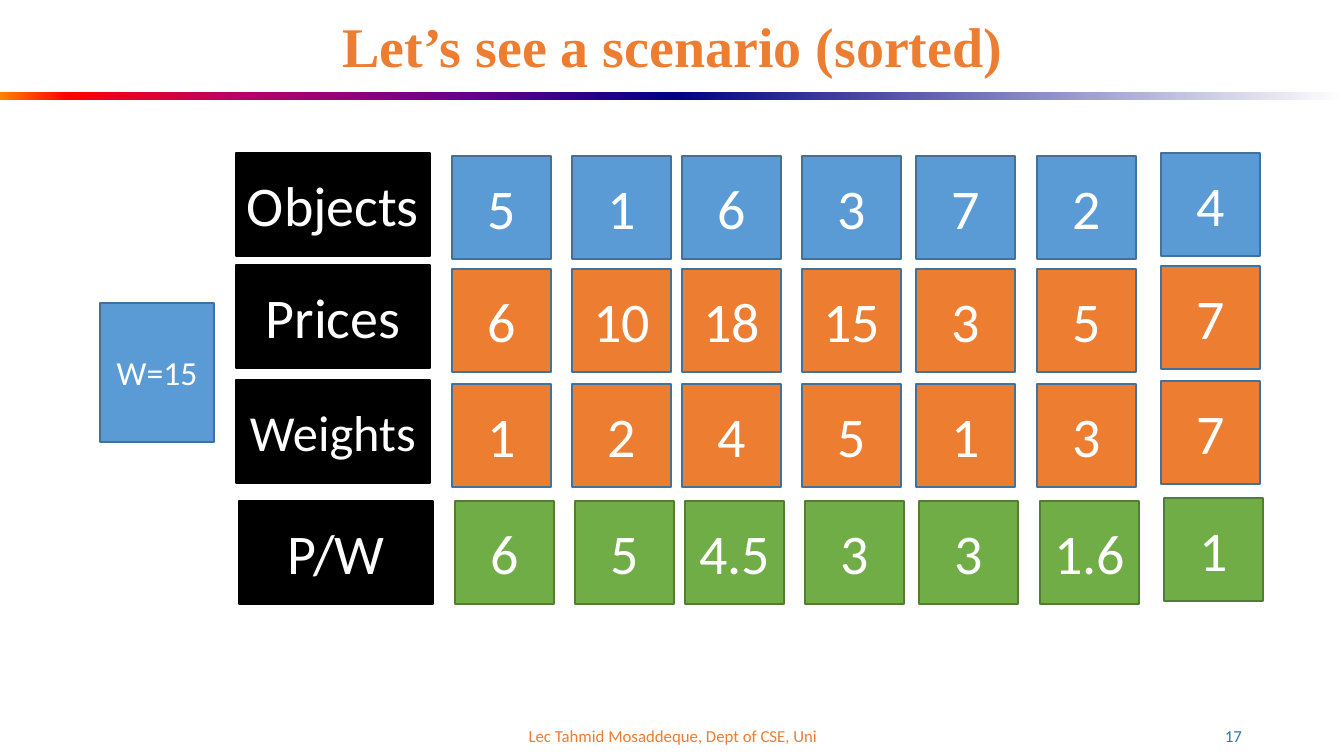
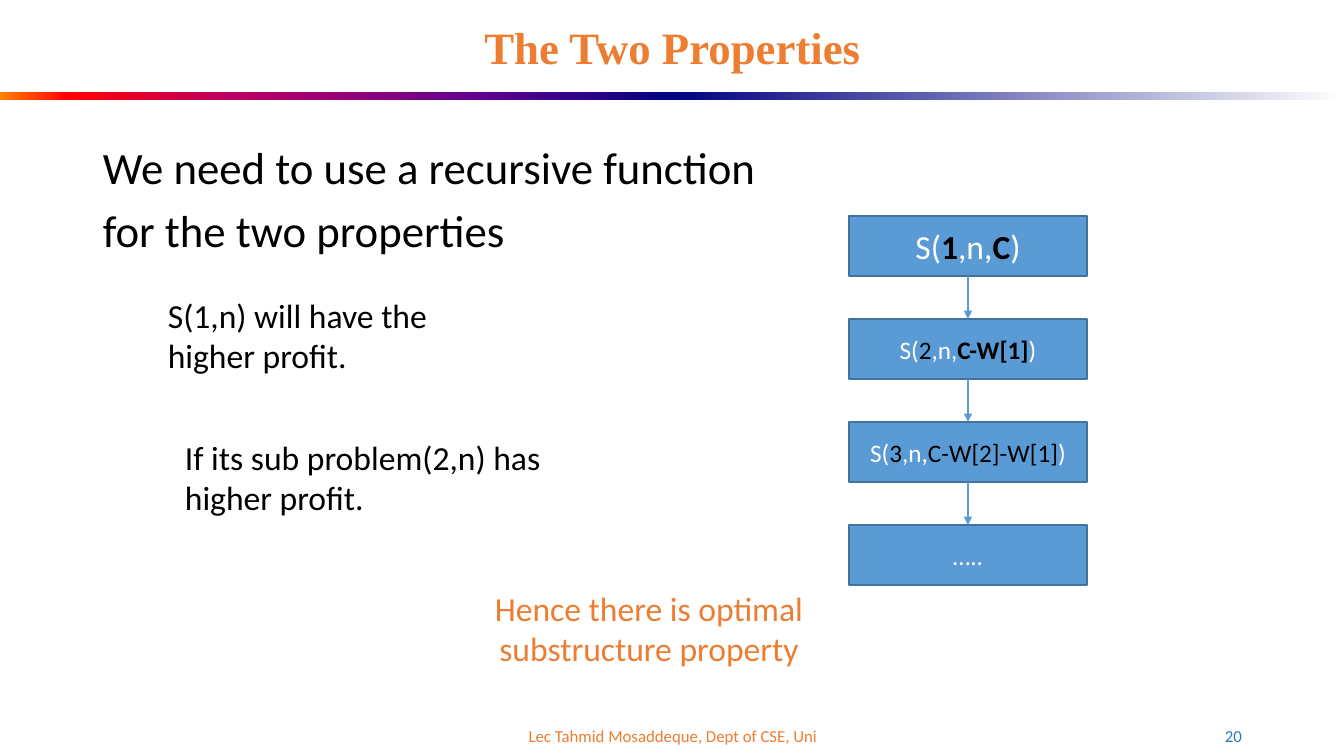
from lxml import etree
from pptx import Presentation
from pptx import util as u
from pptx.dml.color import RGBColor
from pptx.enum import shapes, text
from pptx.oxml.ns import qn

# Colours and fonts
WHITE = RGBColor(0xFF, 0xFF, 0xFF)
BLACK = RGBColor(0x00, 0x00, 0x00)
ORANGE = RGBColor(0xED, 0x7D, 0x31)
BLUE = RGBColor(0x5B, 0x9B, 0xD5)
DARK_BLUE = RGBColor(0x42, 0x71, 0x9B)
NUMBER_BLUE = RGBColor(0x2E, 0x75, 0xB5)
GREEN = RGBColor(0x70, 0xAD, 0x47)
DARK_GREEN = RGBColor(0x51, 0x7E, 0x33)
NAVY = RGBColor(0x00, 0x00, 0x82)
BAND_LEFT = [(0, RGBColor(0xFF, 0x82, 0x00)), (10, RGBColor(0xFF, 0x00, 0x00)),
             (35, RGBColor(0xBA, 0x00, 0x66)), (70, RGBColor(0x66, 0x00, 0x8F)),
             (100, NAVY)]
BAND_RIGHT = [(0, NAVY), (100, WHITE)]
BODY_FONT = "Calibri"
TITLE_FONT = "Times New Roman"

WIDTH, HEIGHT = 1344, 756
LEFT, CENTER, RIGHT = text.PP_ALIGN.LEFT, text.PP_ALIGN.CENTER, text.PP_ALIGN.RIGHT
TOP, MIDDLE = text.MSO_ANCHOR.TOP, text.MSO_ANCHOR.MIDDLE


def px(length):
    """Turn px (100.8 to the inch) into EMU."""
    return u.Emu(round(length * 914400 / 100.8))


def write(frame, *paragraphs, size=24, color=BLACK, font=BODY_FONT, bold=False,
          align=LEFT, anchor=TOP, line_spacing=None, gap=0):
    """Fill a frame; a paragraph is a string or a list of (text, color, bold) runs."""
    frame.word_wrap = True
    frame.auto_size = text.MSO_AUTO_SIZE.NONE
    frame.vertical_anchor = anchor
    for index, content in enumerate(paragraphs):
        paragraph = frame.add_paragraph() if index else frame.paragraphs[0]
        paragraph.alignment = align
        if line_spacing:
            paragraph.line_spacing = line_spacing
        if index and gap:
            paragraph.space_before = u.Pt(gap)
        runs = [(content, color, bold)] if isinstance(content, str) else content
        for words, run_color, run_bold in runs:
            run = paragraph.add_run()
            run.text = words
            run.font.size = u.Pt(size)
            run.font.name = font
            run.font.bold = run_bold
            run.font.color.rgb = run_color


class Deck:
    """Holds the shared style and the current slide."""

    def __init__(self):
        self.prs = Presentation()
        self.prs.slide_width, self.prs.slide_height = px(WIDTH), px(HEIGHT)
        self.slide = None

    def new_slide(self, title, number, title_size):
        self.slide = self.prs.slides.add_slide(self.prs.slide_layouts[5])
        heading = self.slide.shapes.title
        heading.left, heading.top = px(93), px(16)
        heading.width, heading.height = px(1159), px(67)
        write(heading.text_frame, title, size=title_size, color=ORANGE, font=TITLE_FONT,
              bold=True, align=CENTER, anchor=MIDDLE, line_spacing=0.9)
        self.band(0, BAND_LEFT)
        self.band(WIDTH // 2, BAND_RIGHT)
        self.label(446, 716, 454, 40, "Lec Tahmid Mosaddeque, Dept of CSE, Uni",
                   size=12, color=ORANGE, align=CENTER, anchor=MIDDLE)
        self.label(950, 716, 302, 40, str(number),
                   size=12, color=NUMBER_BLUE, align=RIGHT, anchor=MIDDLE)

    def rectangle(self, x, y, w, h):
        shape = self.slide.shapes.add_shape(shapes.MSO_SHAPE.RECTANGLE,
                                            px(x), px(y), px(w), px(h))
        shape.shadow.inherit = False
        return shape

    def band(self, x, stops):
        half = self.rectangle(x, 92, WIDTH // 2, 8)
        half.line.fill.background()
        half.fill.gradient()
        half.fill.gradient_angle = 0
        stop_list = half._element.spPr.find(qn("a:gradFill")).find(qn("a:gsLst"))
        for old_stop in list(stop_list):
            stop_list.remove(old_stop)
        for percent, color in stops:
            stop = etree.SubElement(stop_list, qn("a:gs"), pos=str(percent * 1000))
            etree.SubElement(stop, qn("a:srgbClr"), val=str(color))

    def box(self, x, y, w, h, content, fill=BLUE, outline=DARK_BLUE, size=40):
        shape = self.rectangle(x, y, w, h)
        shape.fill.solid()
        shape.fill.fore_color.rgb = fill
        shape.line.color.rgb = outline
        shape.line.width = u.Pt(1)
        write(shape.text_frame, content, size=size, color=WHITE, align=CENTER, anchor=MIDDLE)
        return shape

    def label(self, x, y, w, h, *paragraphs, **style):
        frame = self.slide.shapes.add_textbox(px(x), px(y), px(w), px(h)).text_frame
        write(frame, *paragraphs, **style)

    def arrow_down(self, upper, lower):
        arrow = self.slide.shapes.add_connector(shapes.MSO_CONNECTOR.STRAIGHT, 0, 0, 0, 0)
        arrow.begin_connect(upper, 2)
        arrow.end_connect(lower, 0)
        arrow.line.color.rgb = BLUE
        arrow.line.width = u.Pt(0.75)
        etree.SubElement(arrow.line._get_or_add_ln(), qn("a:tailEnd"), type="triangle")
        etree.SubElement(arrow._element.spPr, qn("a:effectLst"))


def scenario_slide(deck):
    deck.new_slide("Let’s see a scenario (sorted)", 17, title_size=40)
    columns = [452, 572, 682, 802, 916, 1037, 1161]
    last_column_rise = 3
    # name, name size, name top, values top, shift to the right, fill, outline, values
    rows = [
        ("Objects", 40, 153, 156, 0, BLUE, DARK_BLUE, "5 1 6 3 7 2 4"),
        ("Prices", 40, 265, 269, 0, ORANGE, DARK_BLUE, "6 10 18 15 3 5 7"),
        ("Weights", 36, 380, 384, 0, ORANGE, DARK_BLUE, "1 2 4 5 1 3 7"),
        ("P/W", 40, 501, 501, 3, GREEN, DARK_GREEN, "6 5 4.5 3 3 1.6 1"),
    ]
    for name, name_size, name_top, top, shift, fill, outline, values in rows:
        deck.box(236 + shift, name_top, 194, 103, name, BLACK, BLACK, name_size)
        for x, value in zip(columns, values.split()):
            rise = last_column_rise if x == columns[-1] else 0
            deck.box(x + shift, top - rise, 99, 103, value, fill, outline)

    # Capacity
    deck.box(100, 303, 114, 139, "W=15", size=24)


def properties_slide(deck):
    deck.new_slide("The Two Properties", 20, title_size=32)

    # Statements
    deck.label(93, 135, 700, 140, "We need to use a recursive function",
               "for the two properties", size=32, gap=6.4)
    deck.label(158, 290, 337, 92, "S(1,n) will have the higher profit.")
    deck.label(175, 432, 406, 92, "If its sub problem(2,n) has higher profit.")
    deck.label(446, 583, 406, 92, "Hence there is optimal substructure property",
               color=ORANGE, align=CENTER)

    # Chain of subproblems: size, first index, capacity, bold index, bold capacity
    calls = [(24, "1", "C", True, True),
             (18, "2", "C-W[1]", False, True),
             (18, "3", "C-W[2]-W[1]", False, False)]
    chain = [(size, [("S(", WHITE, False), (first, BLACK, bold_first), (",n,", WHITE, False),
                     (capacity, BLACK, bold_capacity), (")", WHITE, False)])
             for size, first, capacity, bold_first, bold_capacity in calls]
    chain.append((18, "….."))
    steps = [deck.box(849, 216 + 103 * index, 238, 60, content, size=size)
             for index, (size, content) in enumerate(chain)]
    for upper, lower in zip(steps, steps[1:]):
        deck.arrow_down(upper, lower)


def main():
    deck = Deck()
    scenario_slide(deck)
    properties_slide(deck)
    deck.prs.save("out.pptx")


if __name__ == "__main__":
    main()
